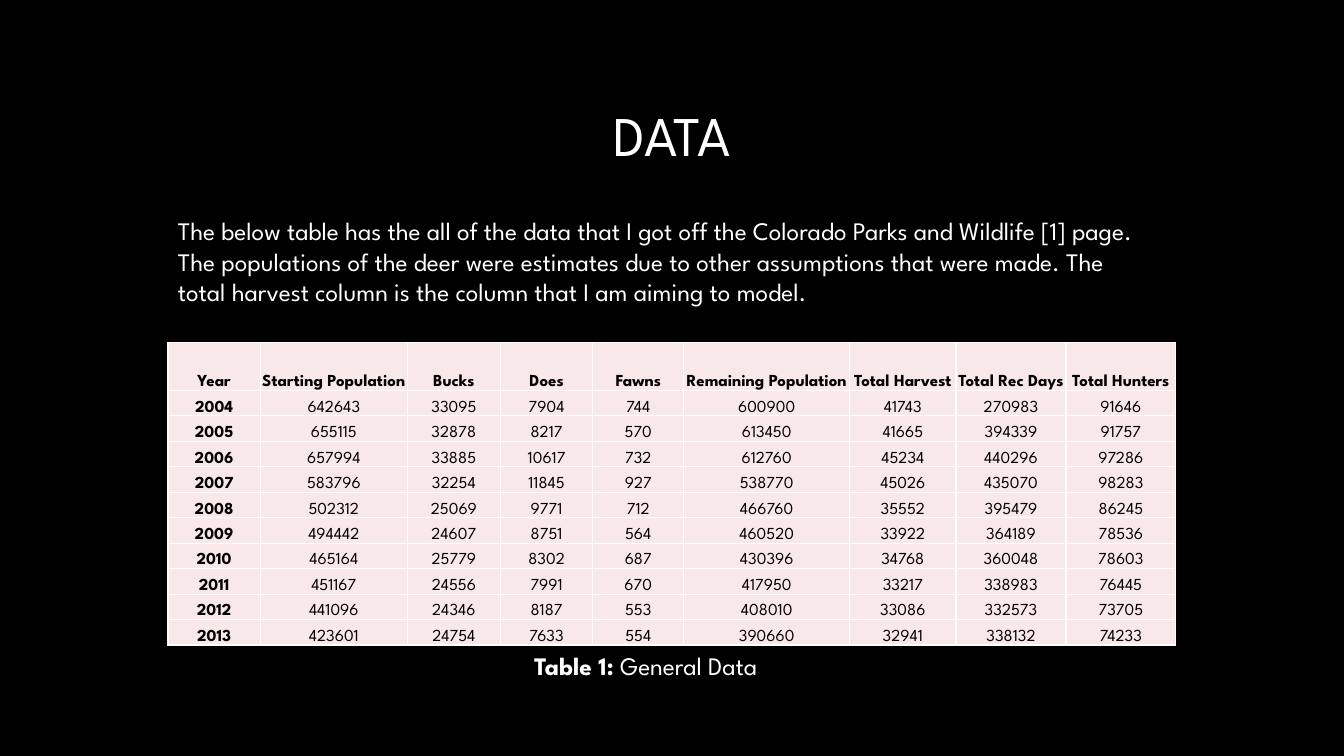
import pptx
import pptx.dml.color
import pptx.enum.text
import pptx.oxml
import pptx.oxml.ns
import pptx.util

Pt = pptx.util.Pt
Align = pptx.enum.text.PP_ALIGN
Anchor = pptx.enum.text.MSO_ANCHOR
Fit = pptx.enum.text.MSO_AUTO_SIZE
WHITE, BLACK, PINK = "FFFFFF", "000000", "F9E8E8"


def color(hex):
    return pptx.dml.color.RGBColor.from_string(hex)


def write(para, text, size=18, ink=WHITE, bold=False, align=None):
    run = para.add_run()
    run.text = text
    run.font.name = "League Spartan"
    run.font.size = Pt(size)
    run.font.bold = bold
    run.font.color.rgb = color(ink)
    if align is not None:
        para.alignment = align


# Slide with a black background
deck = pptx.Presentation()
deck.slide_width, deck.slide_height = Pt(960), Pt(540)
slide = deck.slides.add_slide(deck.slide_layouts[5])
slide.background.fill.solid()
slide.background.fill.fore_color.rgb = color(BLACK)

# Title
title = slide.shapes.title
title.left, title.top, title.width, title.height = Pt(141), Pt(48), Pt(678), Pt(102)
title.text_frame.vertical_anchor = Anchor.MIDDLE
head = title.text_frame.paragraphs[0]
head.line_spacing = 0.9
write(head, "DATA", size=40, align=Align.CENTER)

# Table of deer data
rows = [
    ["Year", "Starting Population", "Bucks", "Does", "Fawns",
     "Remaining Population", "Total Harvest", "Total Rec Days", "Total Hunters"],
    [2004, 642643, 33095, 7904, 744, 600900, 41743, 270983, 91646],
    [2005, 655115, 32878, 8217, 570, 613450, 41665, 394339, 91757],
    [2006, 657994, 33885, 10617, 732, 612760, 45234, 440296, 97286],
    [2007, 583796, 32254, 11845, 927, 538770, 45026, 435070, 98283],
    [2008, 502312, 25069, 9771, 712, 466760, 35552, 395479, 86245],
    [2009, 494442, 24607, 8751, 564, 460520, 33922, 364189, 78536],
    [2010, 465164, 25779, 8302, 687, 430396, 34768, 360048, 78603],
    [2011, 451167, 24556, 7991, 670, 417950, 33217, 338983, 76445],
    [2012, 441096, 24346, 8187, 553, 408010, 33086, 332573, 73705],
    [2013, 423601, 24754, 7633, 554, 390660, 32941, 338132, 74233],
]
widths = [66, 105, 66.5, 66, 65, 118.5, 76, 78.5, 78.5]
table = slide.shapes.add_table(
    len(rows), len(widths), Pt(120), Pt(244.8), Pt(720), Pt(216)).table
for col, width in zip(table.columns, widths):
    col.width = Pt(width)
for r, row in enumerate(rows):
    table.rows[r].height = Pt(18.2 if r else 34)
    for c, value in enumerate(row):
        cell = table.cell(r, c)
        cell.margin_left = cell.margin_right = cell.margin_top = Pt(0.7)
        cell.margin_bottom = 0
        cell.vertical_anchor = Anchor.BOTTOM
        write(cell.text_frame.paragraphs[0], str(value), size=12, ink=BLACK,
              bold=r == 0 or c == 0, align=Align.CENTER)
        # White borders go ahead of the fill
        props = cell._tc.get_or_add_tcPr()
        for side in ("lnL", "lnR", "lnT", "lnB"):
            props.append(pptx.oxml.parse_xml(
                f'<a:{side} {pptx.oxml.ns.nsdecls("a")} w="{Pt(1)}"><a:solidFill>'
                f'<a:srgbClr val="{WHITE}"/></a:solidFill></a:{side}>'))
        cell.fill.solid()
        cell.fill.fore_color.rgb = color(PINK)

# Introduction and caption
intro = ("The below table has the all of the data that I got off the Colorado Parks "
         "and Wildlife [1] page. The populations of the deer were estimates due to "
         "other assumptions that were made. The total harvest column is the column "
         "that I am aiming to model.")
notes = [
    ((120, 150.5, 713.5, 94.3), [(intro, False)]),
    ((374.4, 460.8, 211, 29), [("Table 1:", True), (" General Data", False)]),
]
for place, parts in notes:
    frame = slide.shapes.add_textbox(*map(Pt, place)).text_frame
    frame.word_wrap = True
    frame.auto_size = Fit.SHAPE_TO_FIT_TEXT
    for text, bold in parts:
        write(frame.paragraphs[0], text, bold=bold)

deck.save("out.pptx")
